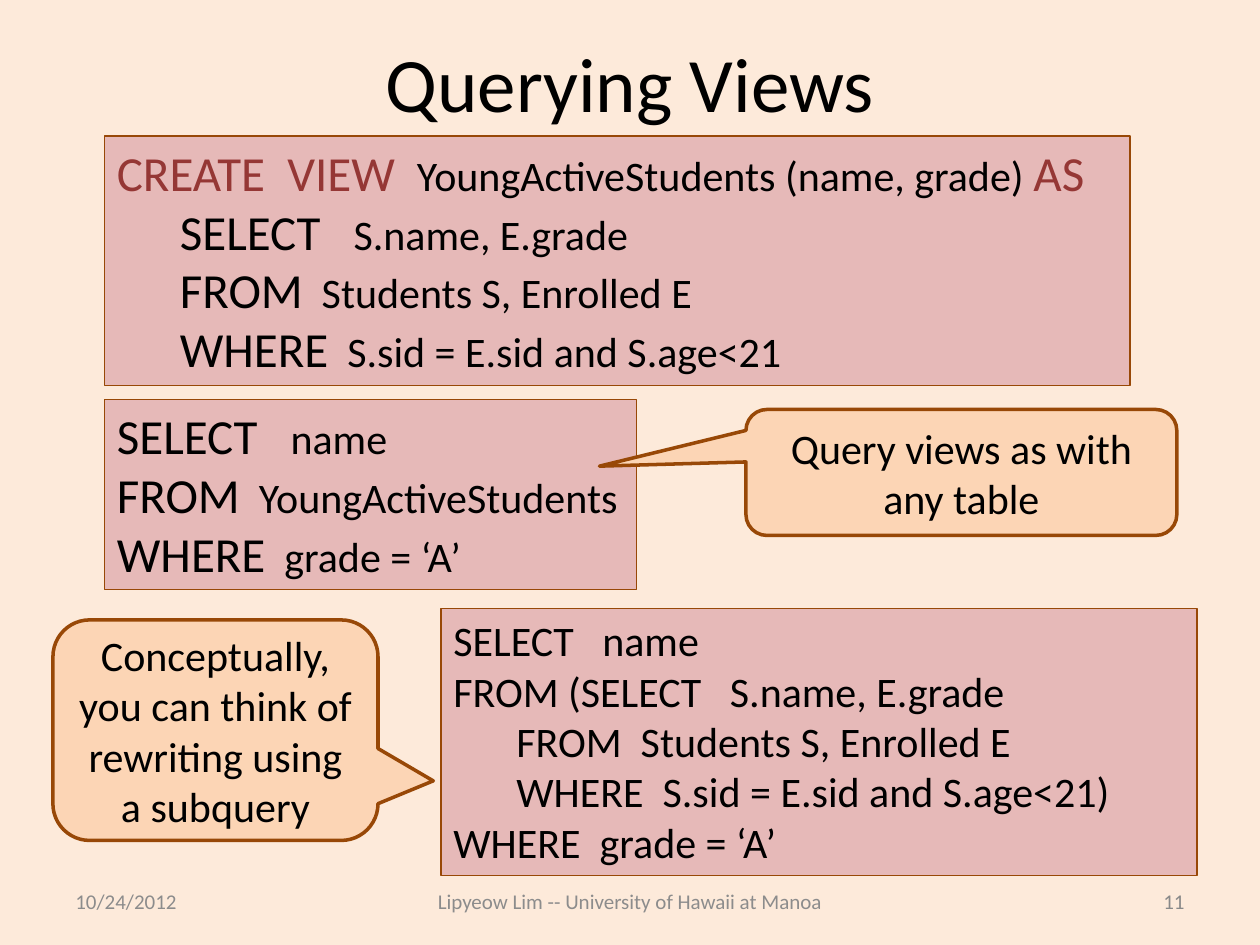
from dataclasses import dataclass
from typing import NamedTuple

from pptx import Presentation
from pptx import util as u
from pptx.dml.color import RGBColor
from pptx.enum import shapes, text

EMU_PER_PX = 9144  # 100 px to the inch


class Box(NamedTuple):
    left: int
    top: int
    width: int
    height: int


class Piece(NamedTuple):
    words: str
    size: int
    color: str


@dataclass(frozen=True)
class Theme:
    font: str = "Calibri"
    background: str = "FDEADA"
    ink: str = "000000"
    keyword: str = "953735"
    muted: str = "8C8C8C"
    page_number: str = "898989"
    code_fill: str = "E6B9B8"
    callout_fill: str = "FCD5B5"
    outline: str = "984807"
    title_size: int = 44
    keyword_size: int = 28
    body_size: int = 24
    footer_size: int = 12


@dataclass(frozen=True)
class CodeBlock:
    box: Box
    lines: list[list[Piece]]
    wrap: bool = False


@dataclass(frozen=True)
class Callout:
    box: Box
    words: str
    tip: tuple[float, float]


@dataclass(frozen=True)
class Footer:
    box: Box
    words: str
    align: text.PP_ALIGN
    color: str


THEME = Theme()


def keyword(words: str, color: str = THEME.ink) -> Piece:
    return Piece(words, THEME.keyword_size, color)


def body(words: str) -> Piece:
    return Piece(words, THEME.body_size, THEME.ink)


# Content
CODE_BLOCKS = [
    CodeBlock(Box(83, 108, 814, 198), [
        [keyword("CREATE  VIEW  ", THEME.keyword),
         body("YoungActiveStudents (name, grade) "),
         keyword("AS", THEME.keyword)],
        [keyword("\tSELECT   "), body("S.name, E.grade")],
        [keyword("\tFROM"), body("  Students S, Enrolled E")],
        [keyword("\tWHERE"), body("  S.sid = E.sid and S.age<21")],
    ]),
    CodeBlock(Box(83, 317, 422, 151), [
        [keyword("SELECT   "), body("name")],
        [keyword("FROM"), body("  YoungActiveStudents")],
        [keyword("WHERE"), body("  grade = ‘A’")],
    ]),
    CodeBlock(Box(350, 483, 600, 212), [
        [body("SELECT   name")],
        [body("FROM (SELECT   S.name, E.grade")],
        [body("\tFROM  Students S, Enrolled E")],
        [body("\tWHERE  S.sid = E.sid and S.age<21)")],
        [body("WHERE  grade = ‘A’")],
    ], wrap=True),
]
CALLOUTS = [
    Callout(Box(592, 325, 342, 100), "Query views as with any table", (-0.84, -0.05)),
    Callout(Box(42, 492, 258, 175),
            "Conceptually, you can think of rewriting using a subquery", (0.67, 0.23)),
]
FOOTERS = [
    Footer(Box(50, 695, 233, 40), "10/24/2012", text.PP_ALIGN.LEFT, THEME.muted),
    Footer(Box(300, 695, 400, 40), "Lipyeow Lim -- University of Hawaii at Manoa",
           text.PP_ALIGN.CENTER, THEME.muted),
    Footer(Box(717, 695, 233, 40), "11", text.PP_ALIGN.RIGHT, THEME.page_number),
]


def px(length: int) -> u.Emu:
    return u.Emu(length * EMU_PER_PX)


def place(box: Box) -> list[u.Emu]:
    return [px(length) for length in box]


def style_font(font, size: int, color: str) -> None:
    font.name = THEME.font
    font.size = u.Pt(size)
    font.color.rgb = RGBColor.from_string(color)


def paint(shape, fill: str, line_width: float) -> None:
    shape.fill.solid()
    shape.fill.fore_color.rgb = RGBColor.from_string(fill)
    shape.line.color.rgb = RGBColor.from_string(THEME.outline)
    shape.line.width = u.Pt(line_width)


def write_line(shape, words: str, size: int, color: str, align: text.PP_ALIGN) -> None:
    frame = shape.text_frame
    frame.text = words
    frame.word_wrap = True
    frame.auto_size = text.MSO_AUTO_SIZE.NONE
    frame.vertical_anchor = text.MSO_ANCHOR.MIDDLE
    paragraph = frame.paragraphs[0]
    paragraph.alignment = align
    style_font(paragraph.runs[0].font, size, color)


def draw_title(slide, box: Box, words: str) -> None:
    title = slide.shapes.title
    title.left, title.top, title.width, title.height = place(box)
    write_line(title, words, THEME.title_size, THEME.ink, text.PP_ALIGN.CENTER)


def draw_code(slide, block: CodeBlock) -> None:
    shape = slide.shapes.add_textbox(*place(block.box))
    paint(shape, THEME.code_fill, 0.75)
    frame = shape.text_frame
    frame.word_wrap = block.wrap
    frame.auto_size = text.MSO_AUTO_SIZE.SHAPE_TO_FIT_TEXT
    for index, line in enumerate(block.lines):
        paragraph = frame.add_paragraph() if index else frame.paragraphs[0]
        for piece in line:
            run = paragraph.add_run()
            run.text = piece.words
            style_font(run.font, piece.size, piece.color)


def draw_callout(slide, callout: Callout) -> None:
    shape = slide.shapes.add_shape(
        shapes.MSO_SHAPE.ROUNDED_RECTANGULAR_CALLOUT, *place(callout.box))
    shape.shadow.inherit = False
    paint(shape, THEME.callout_fill, 2)
    shape.adjustments[0], shape.adjustments[1] = callout.tip
    write_line(shape, callout.words, THEME.body_size, THEME.ink, text.PP_ALIGN.CENTER)


def draw_footer(slide, footer: Footer) -> None:
    shape = slide.shapes.add_textbox(*place(footer.box))
    write_line(shape, footer.words, THEME.footer_size, footer.color, footer.align)


def main() -> None:
    presentation = Presentation()
    presentation.slide_width, presentation.slide_height = px(1000), px(750)
    title_only = presentation.slide_layouts.get_by_name("Title Only")
    slide = presentation.slides.add_slide(title_only)
    slide.background.fill.solid()
    slide.background.fill.fore_color.rgb = RGBColor.from_string(THEME.background)

    draw_title(slide, Box(50, 30, 900, 70), "Querying Views")
    for footer in FOOTERS:
        draw_footer(slide, footer)
    for block in CODE_BLOCKS:
        draw_code(slide, block)
    for callout in CALLOUTS:
        draw_callout(slide, callout)

    presentation.save("out.pptx")


if __name__ == "__main__":
    main()
